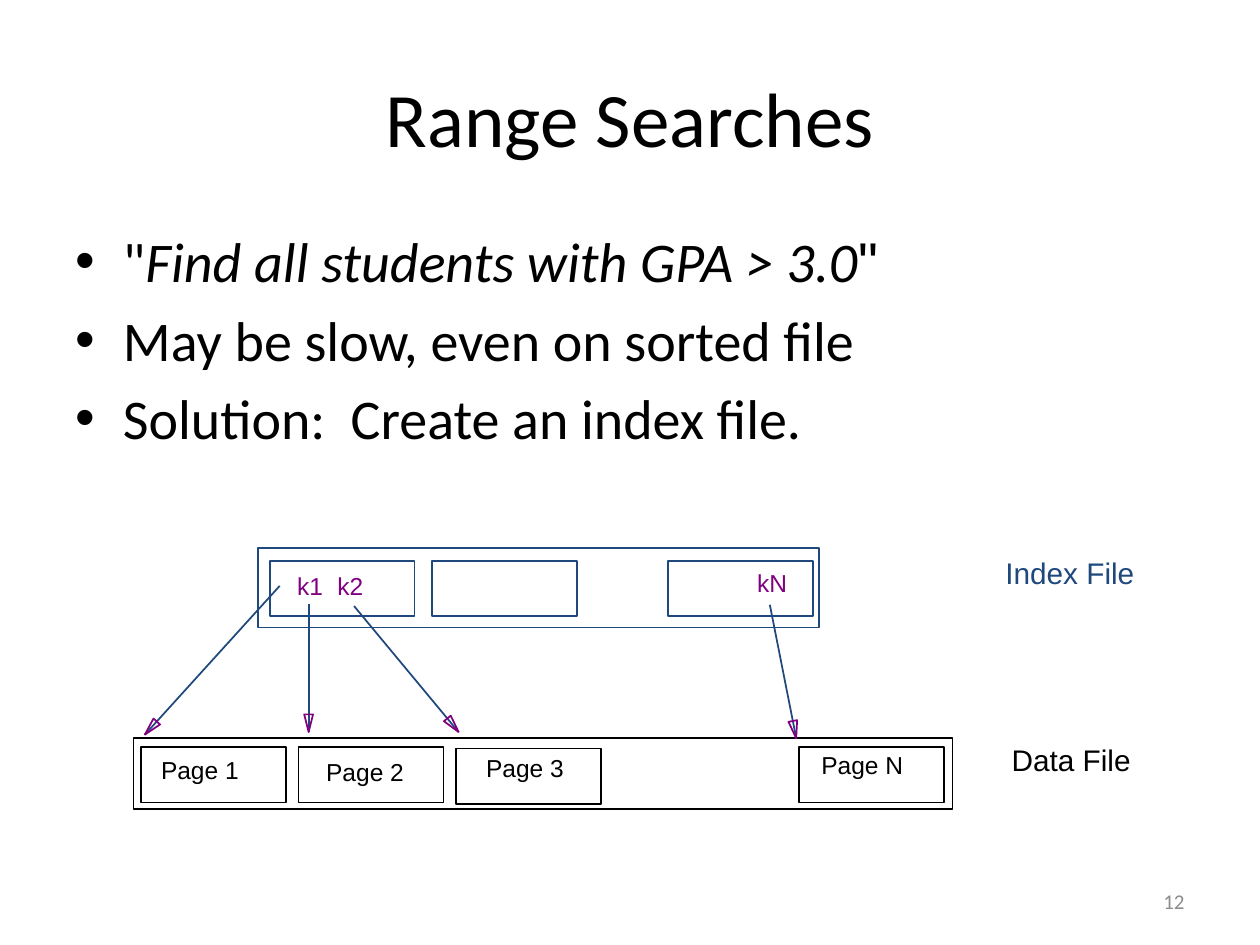
from math import hypot
from pptx import Presentation, util as u
from pptx.dml.color import RGBColor
from pptx.enum import shapes as sh, text as tx
from pptx.oxml import parse_xml
from pptx.oxml.ns import nsdecls

THEME = {
    "black": "000000", "blue": "1F497D", "plum": "800080", "gray": "8C8C8C",
    "head": "Calibri", "label": "Arial",
    "title": 44, "body": 32, "file": 17, "key": 14, "num": 12, "line": 1,
}
TITLE = "Range Searches"
LIST = [
    [('"', "head", False), ("Find all students with GPA > 3.0", "head", True), ('"', "label", False)],
    [("May be slow, even on sorted file", "head", False)],
    [("Solution:  Create an index file.", "head", False)],
]
CELL = (1.15, 0.44)
FILES = [
    ("black", (1.06, 5.86, 6.5, 0.56), [(1.12, 5.93), (2.37, 5.93), (3.62, 5.94), (6.34, 5.93)]),
    ("blue", (2.05, 4.35, 4.45, 0.63), [(2.14, 4.45), (3.43, 4.45), (5.3, 4.45)]),
]
ARROWS = [(2.22, 4.65, 1.15, 5.83), (2.45, 4.79, 2.45, 5.81),
          (2.81, 4.81, 3.64, 5.81), (6.11, 4.8, 6.32, 5.86)]
HEAD = (0.14, 0.035)
LABELS = [
    ("Page 1", (1.18, 5.94, 0.83, 0.33), "key", "black"),
    ("Page 2", (2.49, 5.96, 0.83, 0.33), "key", "black"),
    ("Page 3", (3.76, 5.93, 0.83, 0.33), "key", "black"),
    ("Page N", (6.42, 5.9, 0.86, 0.33), "key", "black"),
    ("k1", (2.26, 4.48, 0.42, 0.33), "key", "plum"),
    ("k2", (2.58, 4.48, 0.42, 0.33), "key", "plum"),
    ("kN", (5.91, 4.46, 0.45, 0.33), "key", "plum"),
    ("Index File", (7.88, 4.35, 1.29, 0.38), "file", "blue"),
    ("Data File", (7.93, 5.84, 1.19, 0.38), "file", "black"),
]


def inch(vals):
    return [u.Inches(v) for v in vals]


def color(name):
    return RGBColor.from_string(THEME[name])


def add_run(para, words, size, face="label", hue="black", slant=False):
    run = para.add_run()
    run.text = words
    font = run.font
    font.name, font.size, font.italic = THEME[face], u.Pt(THEME[size]), slant
    font.color.rgb = color(hue)


def place(shape, box):
    shape.left, shape.top, shape.width, shape.height = inch(box)


def ink(shape, hue):
    shape.line.color.rgb = color(hue)
    shape.line.width = u.Pt(THEME["line"])


def outline(shape, hue):
    shape.fill.background()
    shape.shadow.inherit = False
    ink(shape, hue)


def add_box(slide, box, hue):
    outline(slide.shapes.add_shape(sh.MSO_SHAPE.RECTANGLE, *inch(box)), hue)


def add_arrow(slide, x1, y1, x2, y2):
    line = slide.shapes.add_connector(sh.MSO_CONNECTOR.STRAIGHT, *inch((x1, y1, x2, y2)))
    ink(line, "blue")
    line._element.spPr.append(parse_xml(f"<a:effectLst {nsdecls('a')}/>"))
    span = hypot(x2 - x1, y2 - y1)
    dx, dy = (x2 - x1) / span, (y2 - y1) / span
    size, half = HEAD
    bx, by = x2 - size * dx, y2 - size * dy
    wings = [inch((bx + s * half * dy, by - s * half * dx)) for s in (1, -1)]
    tip = slide.shapes.build_freeform(*inch((x2, y2)))
    tip.add_line_segments(wings, close=True)
    outline(tip.convert_to_shape(), "plum")


def add_label(slide, words, box, size, hue):
    frame = slide.shapes.add_textbox(*inch(box)).text_frame
    frame.word_wrap = False
    frame.auto_size = tx.MSO_AUTO_SIZE.SHAPE_TO_FIT_TEXT
    add_run(frame.paragraphs[0], words, size, hue=hue)


def add_text(slide):
    title, body = slide.placeholders
    place(title, (0.5, 0.3, 9, 1.25))
    title.text_frame.vertical_anchor = tx.MSO_ANCHOR.MIDDLE
    head = title.text_frame.paragraphs[0]
    head.alignment = tx.PP_ALIGN.CENTER
    add_run(head, TITLE, "title", "head")
    place(body, (0.5, 1.75, 9, 4.95))
    frame = body.text_frame
    for i, runs in enumerate(LIST):
        para = frame.add_paragraph() if i else frame.paragraphs[0]
        for words, face, slant in runs:
            add_run(para, words, "body", face, slant=slant)


def add_number(slide):
    frame = slide.shapes.add_textbox(*inch((7.17, 6.95, 2.33, 0.4))).text_frame
    frame.word_wrap = True
    frame.vertical_anchor = tx.MSO_ANCHOR.MIDDLE
    para = frame.paragraphs[0]
    para.alignment = tx.PP_ALIGN.RIGHT
    add_run(para, "12", "num", "head", "gray")


def main():
    deck = Presentation()
    deck.slide_width, deck.slide_height = inch((10, 7.5))
    slide = deck.slides.add_slide(deck.slide_layouts[1])
    add_text(slide)
    add_number(slide)
    for hue, frame, cells in FILES:
        add_box(slide, frame, hue)
        for spot in cells:
            add_box(slide, spot + CELL, hue)
    for ends in ARROWS:
        add_arrow(slide, *ends)
    for label in LABELS:
        add_label(slide, *label)
    deck.save("out.pptx")


if __name__ == "__main__":
    main()
